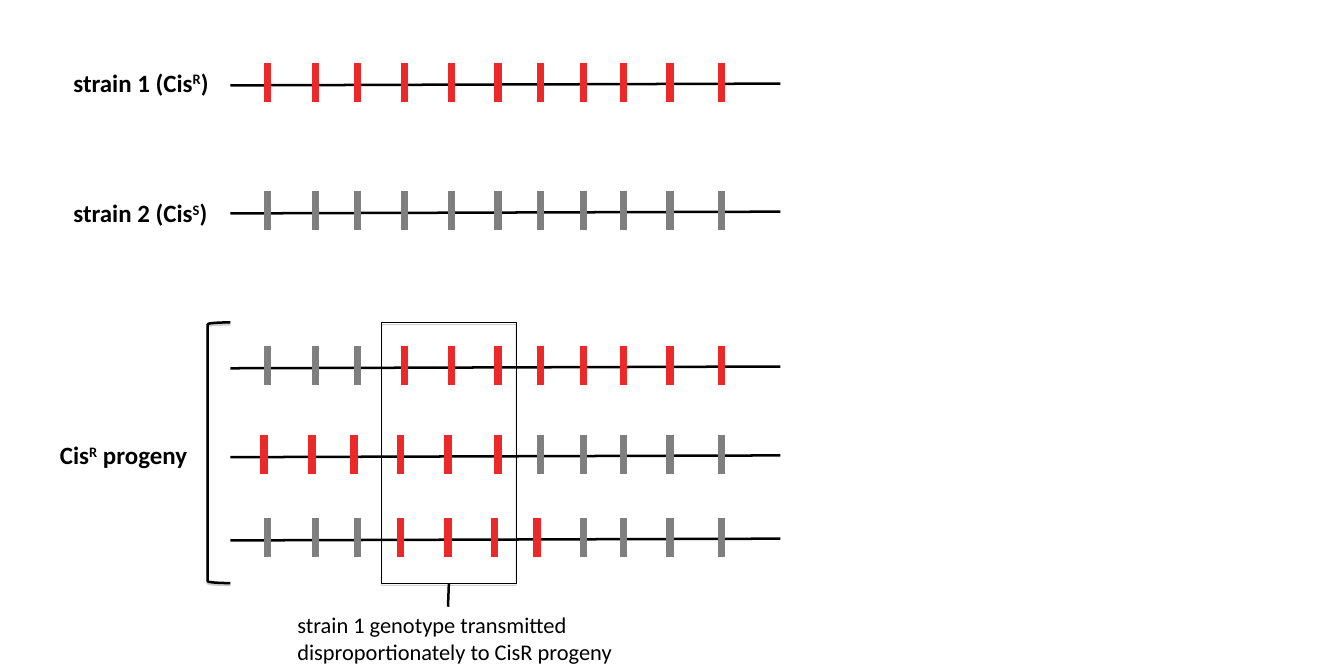
from lxml import etree
from pptx import Presentation
from pptx.dml.color import RGBColor
from pptx.enum.shapes import MSO_CONNECTOR, MSO_SHAPE
from pptx.oxml import parse_xml
from pptx.oxml.ns import nsdecls, qn
from pptx.util import Cm, Pt

# Content: lengths in cm
BLACK, RED, GREY = "000000", "EC2929", "7F7F7F"
MARKERS = [7.59, 8.94, 10.13, 11.46, 12.8, 14.12, 15.32, 16.54, 17.68, 19, 20.45]
# R = strain 1 allele, r = the same set slightly to the left, G = strain 2 allele
CHROMOSOMES = [
    (1.78, "RRRRRRRRRRR"),
    (5.41, "GGGGGGGGGGG"),
    (9.8, "GGGRRRRRRRR"),
    (12.32, "rrrrrRGGGGG"),
    (14.68, "GGGrrrrGGGG"),
]
ALLELES = {"R": (RED, 0), "r": (RED, -0.1), "G": (GREY, 0)}
# Left, top, width, height, size, bold, runs (every second run is superscript)
LABELS = [
    (1.83, 1.78, 4.45, 1.12, 20, True, ["strain 1 (Cis", "R", ")"]),
    (1.83, 5.49, 4.45, 1.12, 20, True, ["strain 2 (Cis", "S", ")"]),
    (1.45, 12.34, 4.45, 1.12, 20, True, ["Cis", "R", " progeny"]),
    (8.18, 17.2, 10.82, 1.78, 18, False,
     ["strain 1 genotype transmitted disproportionately to CisR progeny"]),
]
LINE_LEFT, LINE_RIGHT, TICK_HEIGHT = 6.53, 22.12, 1.12
GROUP_TOP, GROUP_HEIGHT = 9.14, 7.39


def rgb(value):
    return RGBColor.from_string(value)


def add_line(x1, y1, x2, y2, color, width):
    line = s.shapes.add_connector(MSO_CONNECTOR.STRAIGHT, Cm(x1), Cm(y1), Cm(x2), Cm(y2))
    line.line.color.rgb = rgb(color)
    line.line.width = Pt(width)
    etree.SubElement(line._element.spPr, qn("a:effectLst"))
    return line


def add_outline(preset, left, width, weight, distance, alpha):
    sp = s.shapes.add_shape(preset, Cm(left), Cm(GROUP_TOP), Cm(width), Cm(GROUP_HEIGHT))
    sp.fill.background()
    sp.line.color.rgb = rgb(BLACK)
    sp.line.width = Pt(weight)
    sp._element.spPr.append(parse_xml(
        f'<a:effectLst {nsdecls("a")}><a:outerShdw dist="{Pt(distance)}" dir="5400000" '
        f'rotWithShape="0"><a:srgbClr val="808080"><a:alpha val="{alpha * 1000}"/>'
        '</a:srgbClr></a:outerShdw></a:effectLst>'))
    return sp


def add_label(left, top, width, height, size, bold, runs):
    tf = s.shapes.add_textbox(Cm(left), Cm(top), Cm(width), Cm(height)).text_frame
    tf.word_wrap = True
    for i, text in enumerate(runs):
        r = tf.paragraphs[0].add_run()
        r.text = text
        r.font.name = "Calibri"
        r.font.size = Pt(size)
        r.font.bold = bold
        r.font.color.rgb = rgb(BLACK)
        if i % 2:
            r.font._element.set("baseline", "30000")


prs = Presentation()
prs.slide_width, prs.slide_height = Cm(38.1), Cm(19.05)
s = prs.slides.add_slide(prs.slide_layouts[6])

# Chromosomes with their markers
for top, alleles in CHROMOSOMES:
    add_line(LINE_LEFT, top + 0.64, LINE_RIGHT, top + 0.59, BLACK, 2)
    for x, allele in zip(MARKERS, alleles):
        color, shift = ALLELES[allele]
        add_line(x + shift, top, x + shift, top + TICK_HEIGHT, color, 6)

# Frame around the shared region and bracket around the progeny
frame = add_outline(MSO_SHAPE.RECTANGLE, 10.82, 3.81, 0.75, 1.8, 35)
bracket = add_outline(MSO_SHAPE.LEFT_BRACKET, 5.89, 0.64, 2, 1.6, 38)
bracket.adjustments[0] = 0.08

# Labels and the pointer to the caption
for label in LABELS:
    add_label(*label)
pointer = add_line(12.73, 16.53, 12.7, 17.2, BLACK, 2)
pointer.begin_connect(frame, 2)

prs.save("out.pptx")
